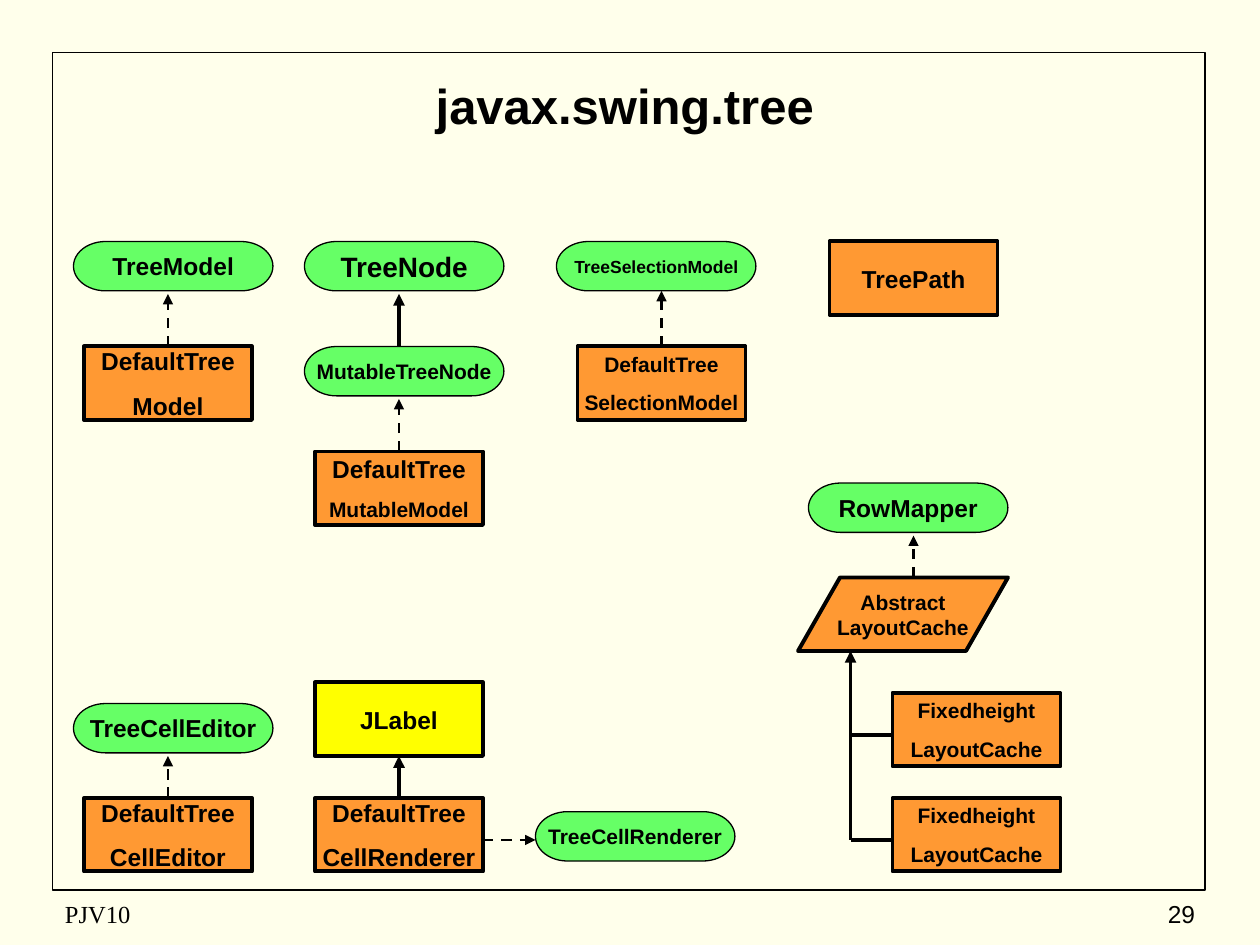
from lxml.etree import SubElement
from pptx import Presentation
from pptx.dml.color import RGBColor
from pptx.enum.dml import MSO_LINE
from pptx.enum.shapes import MSO_CONNECTOR, MSO_SHAPE
from pptx.enum.text import MSO_ANCHOR, PP_ALIGN
from pptx.oxml.ns import qn
from pptx.util import Cm, Pt

ORANGE, GREEN, YELLOW = "FF9933", "66FF66", "FFFF00"
BLACK, CREAM = "000000", "FFFFEB"


def grid(steps):
    """Turn grid steps, twelve to the inch, into a length."""
    return Cm(steps * 2.54 / 12)


def colour(value):
    """Turn a hex string into a colour."""
    return RGBColor.from_string(value)


def write(box, lines, sizes, bold=True, align=PP_ALIGN.CENTER, font="Arial", gap=0.625):
    """Write lines into a box, one paragraph each, spaced in proportion to their size."""
    frame = box.text_frame
    frame.text = "\n".join(lines)
    frame.vertical_anchor = MSO_ANCHOR.MIDDLE
    for index, (para, size) in enumerate(zip(frame.paragraphs, sizes)):
        para.alignment = align
        para.space_before = Pt(size * gap if index else 0)
        for span in para.runs:
            span.font.name = font
            span.font.size = Pt(size)
            span.font.bold = bold
            span.font.color.rgb = colour(BLACK)


def add_caption(page, left, top, width, height, text, size, **style):
    """Add a one-line text box."""
    box = page.shapes.add_textbox(grid(left), grid(top), grid(width), grid(height))
    box.text_frame.word_wrap = True
    write(box, [text], [size], **style)


def add_node(page, kind, left, top, width, height, fill, line, lines, sizes, **style):
    """Add an outlined, filled shape with its label."""
    box = page.shapes.add_shape(kind, grid(left), grid(top), grid(width), grid(height))
    box.shadow.inherit = False
    box.fill.solid()
    box.fill.fore_color.rgb = colour(fill)
    box.line.color.rgb = colour(BLACK)
    box.line.width = Pt(line)
    write(box, lines, sizes, **style)
    box.text_frame.word_wrap = False


def add_interface(page, left, top, name, size=14):
    """Add a green interface pill."""
    add_node(page, MSO_SHAPE.FLOWCHART_TERMINATOR, left, top, 19, 4.7, GREEN, 0.75, [name], [size])


def add_class(page, left, top, lines, sizes=(14, 14), fill=ORANGE):
    """Add a class rectangle."""
    add_node(page, MSO_SHAPE.RECTANGLE, left, top, 16, 7, fill, 2.25, lines, sizes)


def add_link(page, start, end, dashed=False, arrow=True):
    """Draw an inheritance line, dashed when it implements an interface."""
    link = page.shapes.add_connector(MSO_CONNECTOR.STRAIGHT, *map(grid, (*start, *end)))
    link.line.color.rgb = colour(BLACK)
    link.line.width = Pt(1.5 if dashed else 2.25)
    if dashed:
        link.line.dash_style = MSO_LINE.DASH
    if arrow:
        SubElement(link.line._get_or_add_ln(), qn("a:tailEnd"), type="triangle")
    SubElement(link._element.spPr, qn("a:effectLst"))


def draw_frame(page, left, top, width, height):
    """Draw the page border, title and footer."""
    border = page.shapes.add_shape(
        MSO_SHAPE.RECTANGLE, grid(left), grid(top), grid(width), grid(height))
    border.shadow.inherit = False
    border.fill.background()
    border.line.color.rgb = colour(BLACK)
    border.line.width = Pt(1)
    add_caption(page, left + 1, top + 1, 107, 8, "javax.swing.tree", 28)
    add_caption(page, left, top + 80, 38, 4, "PJV10", 14, bold=False,
                align=PP_ALIGN.LEFT, font="Times New Roman")
    add_caption(page, left + 85, top + 80, 25, 4, "29", 14, bold=False, align=PP_ALIGN.RIGHT)


def draw_pair(page, left, top, name, lines, drop, sizes=(14, 14), name_size=14, inset=1, tip=5):
    """Draw an interface with its default class below it."""
    add_interface(page, left, top, name, name_size)
    add_class(page, left + inset, top + drop, lines, sizes)
    centre = left + inset + 8
    add_link(page, (centre, top + drop), (centre, top + tip), dashed=True)


def draw_nodes(page, left, top):
    """Draw the tree node chain."""
    add_interface(page, left, top, "TreeNode", 16)
    add_link(page, (left + 9, top + 10), (left + 9, top + 5))
    draw_pair(page, left, top + 10, "MutableTreeNode", ["DefaultTree", "MutableModel"],
              10, sizes=(14, 12), name_size=12)


def draw_renderer(page, left, top):
    """Draw the cell renderer with its parent class and interface."""
    add_class(page, left, top, ["JLabel"], fill=YELLOW)
    add_class(page, left, top + 11, ["DefaultTree", "CellRenderer"])
    add_interface(page, left + 21, top + 12.3, "TreeCellRenderer", 12)
    add_link(page, (left + 8, top + 11), (left + 8, top + 7))
    add_link(page, (left + 16, top + 15), (left + 21, top + 15), dashed=True)


def draw_layout_caches(page, left, top):
    """Draw the row mapper and the layout caches under it."""
    add_interface(page, left + 1, top, "RowMapper")
    add_node(page, MSO_SHAPE.FLOWCHART_DATA, left, top + 9, 20, 7, ORANGE, 2.25,
             ["Abstract", "LayoutCache"], [12, 12], gap=0)
    add_link(page, (left + 11, top + 9), (left + 11, top + 5), dashed=True)
    add_link(page, (left + 5, top + 34), (left + 5, top + 16))
    for offset in (20, 30):
        add_class(page, left + 9, top + offset, ["Fixedheight", "LayoutCache"], (12, 12))
        middle = top + offset + 4
        add_link(page, (left + 5, middle), (left + 9, middle), arrow=False)


def main():
    """Build the class diagram slide."""
    deck = Presentation()
    deck.slide_width, deck.slide_height = grid(120), grid(90)
    page = deck.slides.add_slide(deck.slide_layouts[6])
    page.background.fill.solid()
    page.background.fill.fore_color.rgb = colour(CREAM)
    draw_frame(page, 5, 5, 109.8, 79.8)
    draw_pair(page, 7, 23, "TreeModel", ["DefaultTree", "Model"], 10)
    draw_nodes(page, 29, 23)
    draw_pair(page, 53, 23, "TreeSelectionModel", ["DefaultTree", "SelectionModel"], 10,
              sizes=(12, 12), name_size=10, inset=2, tip=4.7)
    add_class(page, 79, 23, ["TreePath"])
    draw_pair(page, 7, 67, "TreeCellEditor", ["DefaultTree", "CellEditor"], 9)
    draw_renderer(page, 30, 65)
    draw_layout_caches(page, 76, 46)
    deck.save("out.pptx")


if __name__ == "__main__":
    main()
